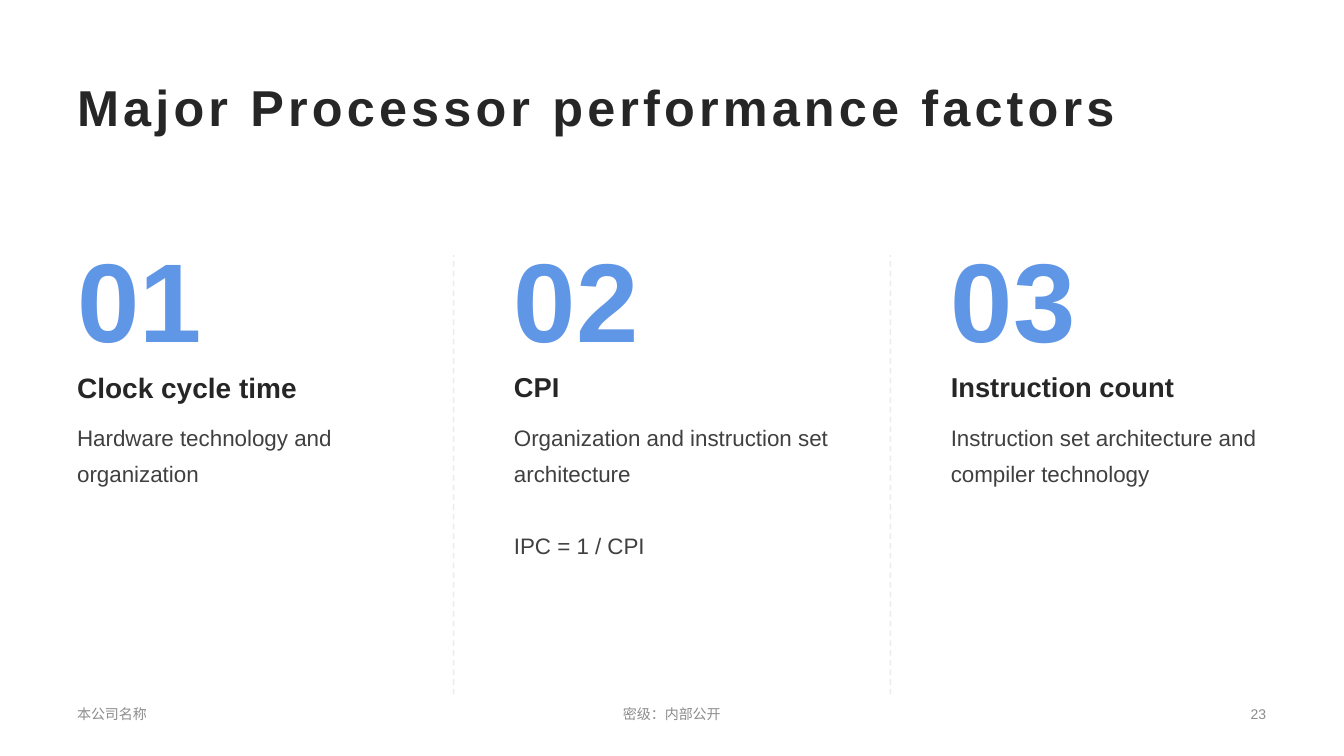
from dataclasses import dataclass

from lxml import etree
from pptx import Presentation, util as u
from pptx.dml.color import RGBColor
from pptx.enum import dml, shapes, text
from pptx.oxml.ns import qn


@dataclass(frozen=True)
class Theme:
    font: str = "Arial"
    accent: str = "6096E6"
    title: str = "262626"
    body: str = "404040"
    muted: str = "8C8C8C"
    rule: str = "D9D9D9"
    title_size: float = 36
    number_size: float = 80
    heading_size: float = 20
    heading_small: float = 19.5
    body_size: float = 16
    footer_size: float = 10
    line_spacing: float = 1.36


TOP, MIDDLE, BOTTOM = (text.MSO_ANCHOR.TOP, text.MSO_ANCHOR.MIDDLE,
                       text.MSO_ANCHOR.BOTTOM)
LEFT, CENTER, RIGHT = text.PP_ALIGN.LEFT, text.PP_ALIGN.CENTER, text.PP_ALIGN.RIGHT

MARGIN, COLUMN, GUTTER = 2 / 3, 10 / 3, 1
NUMBER_ROW, HEADING_ROW, BODY_ROW = (2.17, 1.45), (3.62, 0.44), (4.06, 2.82)
FOOTER_ROW = (6.91, 0.35)
RULE_TOP, RULE_BOTTOM = 2.53, 6.89

FACTORS = [
    ("Clock cycle time", Theme.heading_size,
     ["Hardware technology and organization"]),
    ("CPI", Theme.heading_small,
     ["Organization and instruction set architecture", "IPC = 1 / CPI"]),
    ("Instruction count", Theme.heading_small,
     ["Instruction set architecture and compiler technology"]),
]


def write(tf, paragraphs, *, theme, size, color, bold=False, align=LEFT,
          spacing=None, gap=0, tracking=None):
    for i, line in enumerate(paragraphs):
        p = tf.add_paragraph() if i else tf.paragraphs[0]
        p.alignment = align
        if spacing:
            p.line_spacing = spacing
        if i and gap:
            p.space_before = u.Pt(gap)
        r = p.add_run()
        r.text = line
        r.font.name = theme.font
        r.font.size = u.Pt(size)
        r.font.bold = bold
        r.font.color.rgb = RGBColor.from_string(color)
        if tracking:
            r._r.get_or_add_rPr().set("spc", str(tracking * 100))


class Deck:
    def __init__(self, theme):
        self.theme = theme
        self.prs = Presentation()
        self.prs.slide_width = u.Inches(13.333)
        self.prs.slide_height = u.Inches(7.5)
        self.s = self.prs.slides.add_slide(self.prs.slide_layouts[6])

    def column(self, i):
        return MARGIN + i * (COLUMN + GUTTER)

    def label(self, left, row, width, paragraphs, anchor=TOP, bottom=0.05, **style):
        top, height = row
        sp = self.s.shapes.add_textbox(*map(u.Inches, (left, top, width, height)))
        tf = sp.text_frame
        tf.word_wrap = True
        tf.vertical_anchor = anchor
        tf.margin_bottom = u.Inches(bottom)
        write(tf, paragraphs, theme=self.theme, **style)

    def title(self, line):
        t = self.theme
        self.label(MARGIN, (0.67, 0.77), 12, [line], anchor=MIDDLE,
                   size=t.title_size, color=t.title, bold=True, tracking=3)

    def factor(self, i, heading, heading_size, body):
        t, left = self.theme, self.column(i)
        self.label(left, NUMBER_ROW, COLUMN, [f"{i + 1:02}"], anchor=BOTTOM,
                   bottom=0, size=t.number_size, color=t.accent, bold=True)
        self.label(left, HEADING_ROW, COLUMN, [heading], anchor=MIDDLE,
                   size=heading_size, color=t.title, bold=True)
        self.label(left, BODY_ROW, COLUMN, body, size=t.body_size,
                   color=t.body, spacing=t.line_spacing, gap=25)

    def divider(self, i):
        x = u.Inches(self.column(i) - GUTTER / 2)
        c = self.s.shapes.add_connector(shapes.MSO_CONNECTOR.STRAIGHT, x,
                                        u.Inches(RULE_BOTTOM), x, u.Inches(RULE_TOP))
        c.line.color.rgb = RGBColor.from_string(self.theme.rule)
        c.line.width = u.Pt(1)
        c.line.dash_style = dml.MSO_LINE.DASH
        fill = c.line._ln.find(qn("a:solidFill"))[0]
        etree.SubElement(fill, qn("a:alpha"), val="50000")
        etree.SubElement(c._element.spPr, qn("a:effectLst"))

    def footer(self, left, width, line, align):
        t = self.theme
        self.label(left, FOOTER_ROW, width, [line], anchor=MIDDLE, align=align,
                   size=t.footer_size, color=t.muted)


def main():
    deck = Deck(Theme())
    deck.title("Major Processor performance factors")
    for i, (heading, size, body) in enumerate(FACTORS):
        deck.factor(i, heading, size, body)
        if i:
            deck.divider(i)
    deck.footer(MARGIN, 2.95, "本公司名称", LEFT)
    deck.footer(4.5, 4.33, "密级：内部公开", CENTER)
    deck.footer(9.71, 2.95, "23", RIGHT)
    deck.prs.save("out.pptx")


if __name__ == "__main__":
    main()
